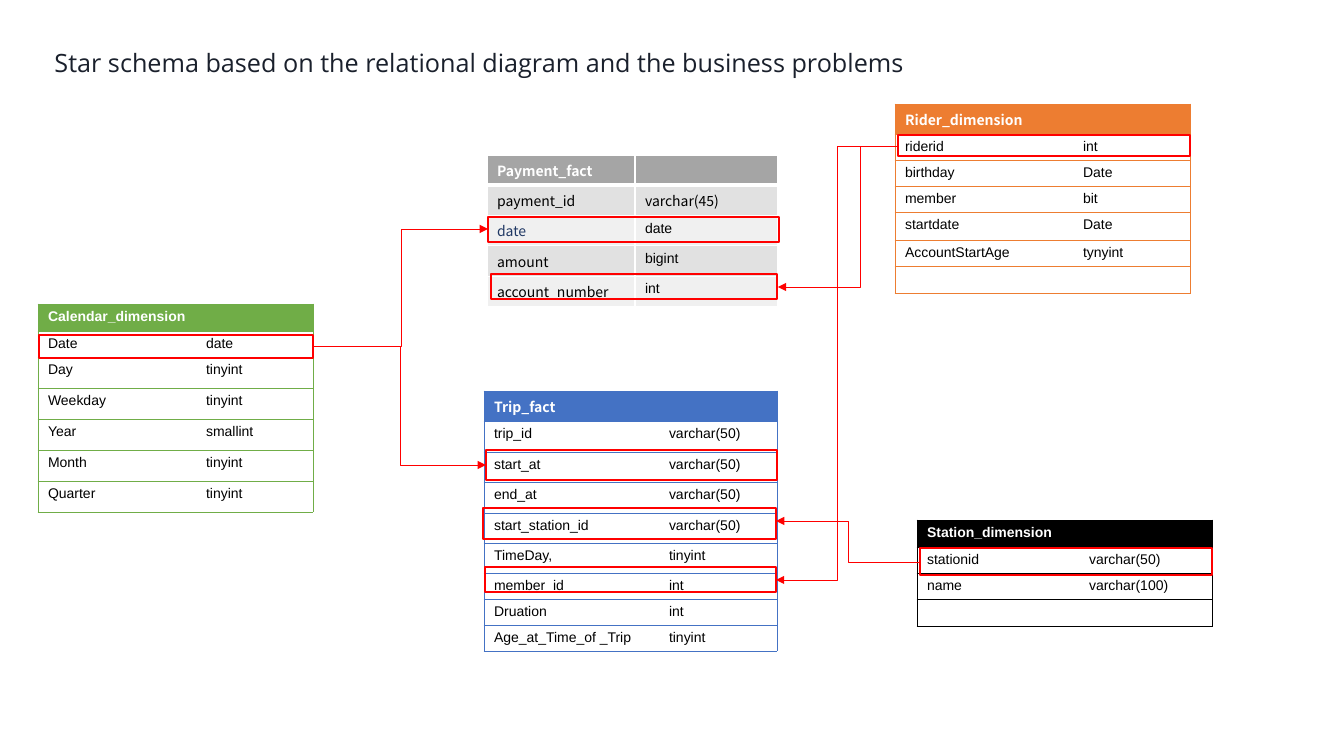
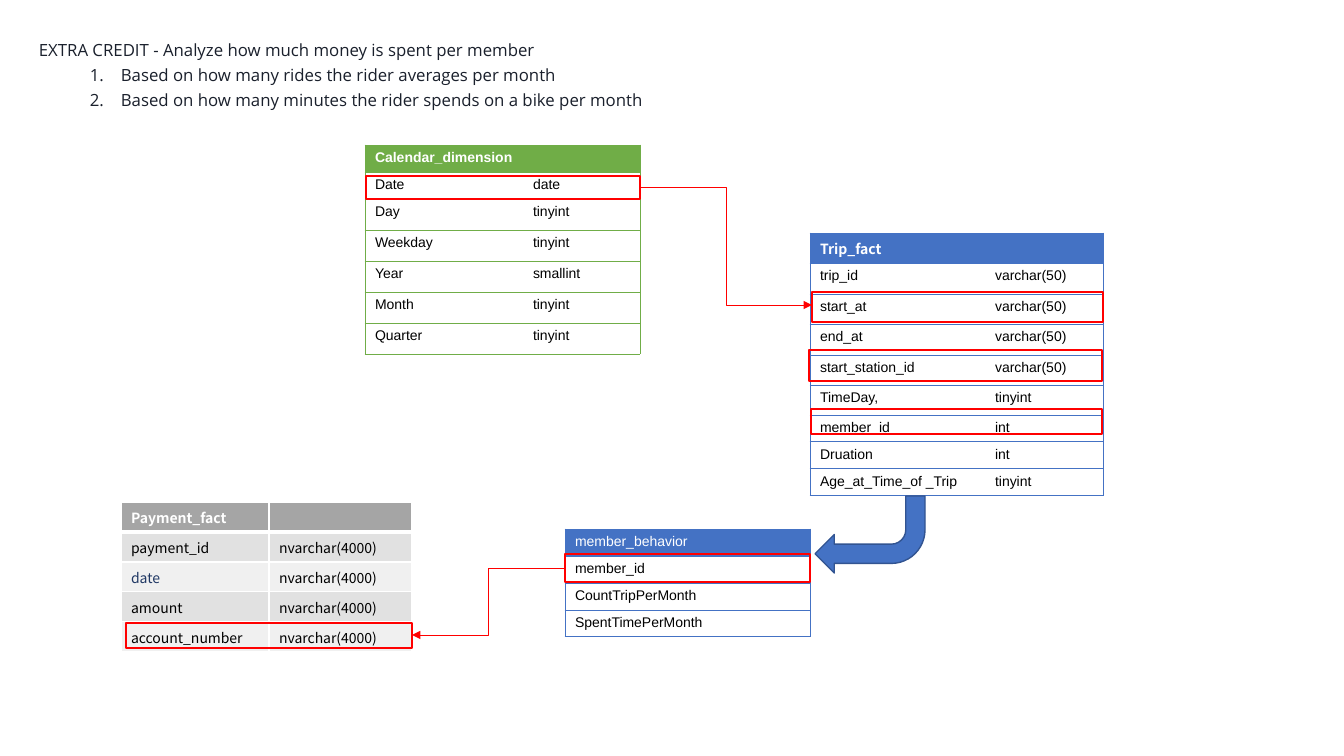
from dataclasses import dataclass, field, replace

from lxml import etree
from pptx import Presentation
from pptx.dml.color import RGBColor
from pptx.enum.shapes import MSO_CONNECTOR, MSO_SHAPE
from pptx.enum.text import MSO_AUTO_SIZE
from pptx.oxml.ns import qn
from pptx.util import Pt

ELBOW = MSO_CONNECTOR.ELBOW
RECT = MSO_SHAPE.RECTANGLE
BENT = MSO_SHAPE.BENT_ARROW
GROW = MSO_AUTO_SIZE.SHAPE_TO_FIT_TEXT

SCALE = 914400 / 100.8
ARIAL, NOTO, OPEN = "Arial", "Noto Sans CJK JP", "Open Sans"
BLACK, WHITE, RED, INK = "000000", "FFFFFF", "FF0000", "1A202C"
GREEN, BLUE, ORANGE, GRAY = "70AD47", "4472C4", "ED7D31", "A5A5A5"
NAVY, EDGE = "203864", "325491"
BANDS = ("F0F0F0", "E1E1E1")
PLAIN = "{2D5ABB26-0587-4C30-8999-92F81FD0307C}"


@dataclass(frozen=True)
class Box:
    left: int
    top: int
    width: int
    height: int


@dataclass(frozen=True)
class Grid:
    name: str
    left: int
    top: int
    cols: tuple[int, ...]
    rows: tuple[int, ...]
    body: tuple[tuple[str, ...], ...]
    color: str
    marks: tuple[Box, ...] = ()
    head: str = NOTO
    bold: bool = True
    banded: bool = False
    faces: tuple[str, ...] = (ARIAL, ARIAL)
    odd: dict[tuple[int, int], tuple[str, str]] = field(default_factory=dict)


@dataclass(frozen=True)
class Link:
    start: tuple[int, int]
    end: tuple[int, int]
    bend: float = 0.5


def px(value: float) -> int:
    return round(value * SCALE)


def rgb(value: str) -> RGBColor:
    return RGBColor.from_string(value)


def style(font, face: str, size: float, color: str, bold: bool = False) -> None:
    font.name = face
    font.size = Pt(size)
    font.bold = bold
    font.color.rgb = rgb(color)


def border(tc, side: str, color: str, width: float) -> None:
    props = tc.get_or_add_tcPr()
    line = etree.SubElement(props, qn(f"a:ln{side}"), w=str(Pt(width)))
    if width:
        fill = etree.SubElement(line, qn("a:solidFill"))
        etree.SubElement(fill, qn("a:srgbClr"), val=color)
    else:
        etree.SubElement(line, qn("a:noFill"))


def frame_cell(tc, grid: Grid, row: int, col: int) -> None:
    color = WHITE if grid.banded else grid.color
    thin = 1 if grid.banded else 0.5
    inner = thin if grid.banded else 0
    widths = {
        "L": thin if col == 0 else inner,
        "R": thin if col == len(grid.cols) - 1 else inner,
        "T": 3 if grid.banded and row == 1 else thin,
        "B": 3 if grid.banded and row == 0 else thin,
    }
    for side, width in widths.items():
        border(tc, side, color, width)


def fill_cell(cell, grid: Grid, row: int, col: int) -> None:
    if row == 0:
        color = grid.color
    elif grid.banded:
        color = BANDS[row % 2]
    else:
        cell.fill.background()
        return
    cell.fill.solid()
    cell.fill.fore_color.rgb = rgb(color)


def write_cell(cell, tc, grid: Grid, row: int, col: int, text: str) -> None:
    if not text:
        para = next(tc.iter(qn("a:p")))
        etree.SubElement(para, qn("a:endParaRPr"), sz="1000")
        return
    cell.text_frame.text = text
    font = cell.text_frame.paragraphs[0].runs[0].font
    if row == 0:
        style(font, grid.head, 10, WHITE, grid.bold)
    else:
        face, color = grid.odd.get((row, col), (grid.faces[col], BLACK))
        style(font, face, 10, color)


def draw_mark(slide, box: Box) -> None:
    mark = slide.shapes.add_shape(
        RECT, px(box.left), px(box.top), px(box.width), px(box.height))
    mark.shadow.inherit = False
    mark.fill.background()
    mark.line.color.rgb = rgb(RED)
    mark.line.width = Pt(1.5)


def draw_grid(slide, grid: Grid) -> None:
    count = len(grid.cols)
    frame = slide.shapes.add_table(
        len(grid.rows), count, px(grid.left), px(grid.top),
        px(sum(grid.cols)), px(sum(grid.rows)))
    table = frame.table
    table.first_row = table.horz_banding = False
    next(frame.element.iter(qn("a:tableStyleId"))).text = PLAIN
    for col, width in enumerate(grid.cols):
        table.columns[col].width = px(width)
    for row, height in enumerate(grid.rows):
        table.rows[row].height = px(height)
    lines = ((grid.name,) + ("",) * (count - 1), *grid.body)
    for index, tc in enumerate(frame.element.iter(qn("a:tc"))):
        row, col = divmod(index, count)
        cell = table.cell(row, col)
        frame_cell(tc, grid, row, col)
        fill_cell(cell, grid, row, col)
        write_cell(cell, tc, grid, row, col, lines[row][col])
    for mark in grid.marks:
        draw_mark(slide, replace(
            mark, left=grid.left + mark.left, top=grid.top + mark.top))


def draw_link(slide, link: Link) -> None:
    line = slide.shapes.add_connector(
        ELBOW, *(px(v) for v in link.start + link.end))
    line.line.color.rgb = rgb(RED)
    line.line.width = Pt(0.5)
    props = line.element.spPr
    etree.SubElement(props.find(qn("a:ln")), qn("a:tailEnd"), type="triangle")
    etree.SubElement(props, qn("a:effectLst"))
    if link.bend != 0.5:
        guides = next(props.iter(qn("a:avLst")))
        etree.SubElement(guides, qn("a:gd"), name="adj1",
                         fmla=f"val {round(link.bend * 100000)}")


def draw_text(slide, box: Box, lines: tuple[str, ...], size: float):
    shape = slide.shapes.add_textbox(
        px(box.left), px(box.top), px(box.width), px(box.height))
    shape.text_frame.text = "\n".join(lines)
    for para in shape.text_frame.paragraphs:
        style(para.runs[0].font, OPEN, size, INK)
    return shape


def draw_list(slide, box: Box, lines: tuple[str, ...]) -> None:
    shape = draw_text(slide, box, lines, 12)
    shape.text_frame.word_wrap = True
    for index, para in enumerate(shape.text_frame.paragraphs):
        para.line_spacing = 0.9
        para.space_before = Pt(5 if index else 10)
        para.level = 1 if index else 0
    for props in list(shape.element.iter(qn("a:pPr")))[1:]:
        props.set("marL", str(px(82)))
        props.set("indent", str(px(-31)))
        etree.SubElement(props, qn("a:buFont"), typeface=OPEN)
        etree.SubElement(props, qn("a:buAutoNum"), type="arabicPeriod")


def draw_arrow(slide, box: Box) -> None:
    arrow = slide.shapes.add_shape(
        BENT, px(box.left), px(box.top), px(box.width), px(box.height))
    arrow.rotation = 180
    arrow.shadow.inherit = False
    arrow.fill.solid()
    arrow.fill.fore_color.rgb = rgb(BLUE)
    arrow.line.color.rgb = rgb(EDGE)
    arrow.line.width = Pt(1)


calendar = Grid(
    "Calendar_dimension", 38, 304, (158, 117), (26, 26) + (31,) * 5,
    (("Date", "date"), ("Day", "tinyint"), ("Weekday", "tinyint"),
     ("Year", "smallint"), ("Month", "tinyint"), ("Quarter", "tinyint")),
    GREEN, (Box(1, 31, 274, 23),), ARIAL)
trip = Grid(
    "Trip_fact", 484, 391, (175, 118), (30, 31, 30, 31, 30, 30, 26, 26, 26),
    (("trip_id", "varchar(50)"), ("start_at", "varchar(50)"),
     ("end_at", "varchar(50)"), ("start_station_id", "varchar(50)"),
     ("TimeDay,", "tinyint"), ("member_id", "int"), ("Druation", "int"),
     ("Age_at_Time_of _Trip", "tinyint")),
    BLUE,
    (Box(2, 59, 291, 30), Box(-1, 117, 293, 31), Box(1, 176, 291, 25)))
payment = Grid(
    "Payment_fact", 487, 155, (148, 143), (30,) * 5,
    (("payment_id", "varchar(45)"), ("date", "date"), ("amount", "bigint"),
     ("account_number", "int")),
    GRAY, (Box(1, 62, 291, 25), Box(4, 119, 286, 25)), banded=True,
    faces=(NOTO, ARIAL), odd={(1, 1): (NOTO, BLACK), (2, 0): (NOTO, NAVY)})
rider = Grid(
    "Rider_dimension", 895, 104, (178, 117), (30, 26, 26, 26, 28, 26, 26),
    (("riderid", "int"), ("birthday", "Date"), ("member", "bit"),
     ("startdate", "Date"), ("AccountStartAge", "tynyint"), ("", "")),
    ORANGE, (Box(3, 31, 292, 21),))
station = Grid(
    "Station_dimension", 917, 520, (162, 133), (26,) * 4,
    (("stationid", "varchar(50)"), ("name", "varchar(100)"), ("", "")),
    BLACK, (Box(3, 28, 292, 27),), ARIAL)
member = Grid(
    "member_behavior", 565, 529, (245,), (26,) * 4,
    (("member_id",), ("CountTripPerMonth",), ("SpentTimePerMonth",)),
    BLUE, (Box(0, 25, 245, 28),), ARIAL, False)
spent = replace(
    payment, left=121, top=502,
    body=tuple((name, "nvarchar(4000)") for name, kind in payment.body),
    marks=(Box(5, 121, 286, 25),), faces=(NOTO, NOTO))

deck = Presentation()
deck.slide_width, deck.slide_height = px(1344), px(756)
blank = deck.slide_layouts[6]

star = deck.slides.add_slide(blank)
for item in (payment, calendar, trip, rider, station):
    draw_grid(star, item)
for item in (
    Link((314, 346), (486, 465)),
    Link((920, 562), (776, 521)),
    Link((898, 146), (776, 580)),
    Link((314, 346), (488, 229)),
    Link((898, 146), (778, 287), 0.31),
):
    draw_link(star, item)
title = draw_text(
    star, Box(38, 42, 882, 40),
    ("\u00a0Star schema based on the relational diagram "
     "and the business problems",), 18)
title.text_frame.word_wrap = False
title.text_frame.auto_size = GROW

extra = deck.slides.add_slide(blank)
draw_list(extra, Box(29, 37, 809, 104), (
    "EXTRA CREDIT - Analyze how much money is spent per member",
    "Based on how many rides the rider averages per month",
    "Based on how many minutes the rider spends on a bike per month"))
for item in (member, spent, replace(calendar, left=365, top=145),
             replace(trip, left=810, top=233)):
    draw_grid(extra, item)
draw_arrow(extra, Box(815, 496, 110, 77))
for item in (Link((565, 568), (412, 635)), Link((640, 187), (812, 305))):
    draw_link(extra, item)

deck.save("out.pptx")
